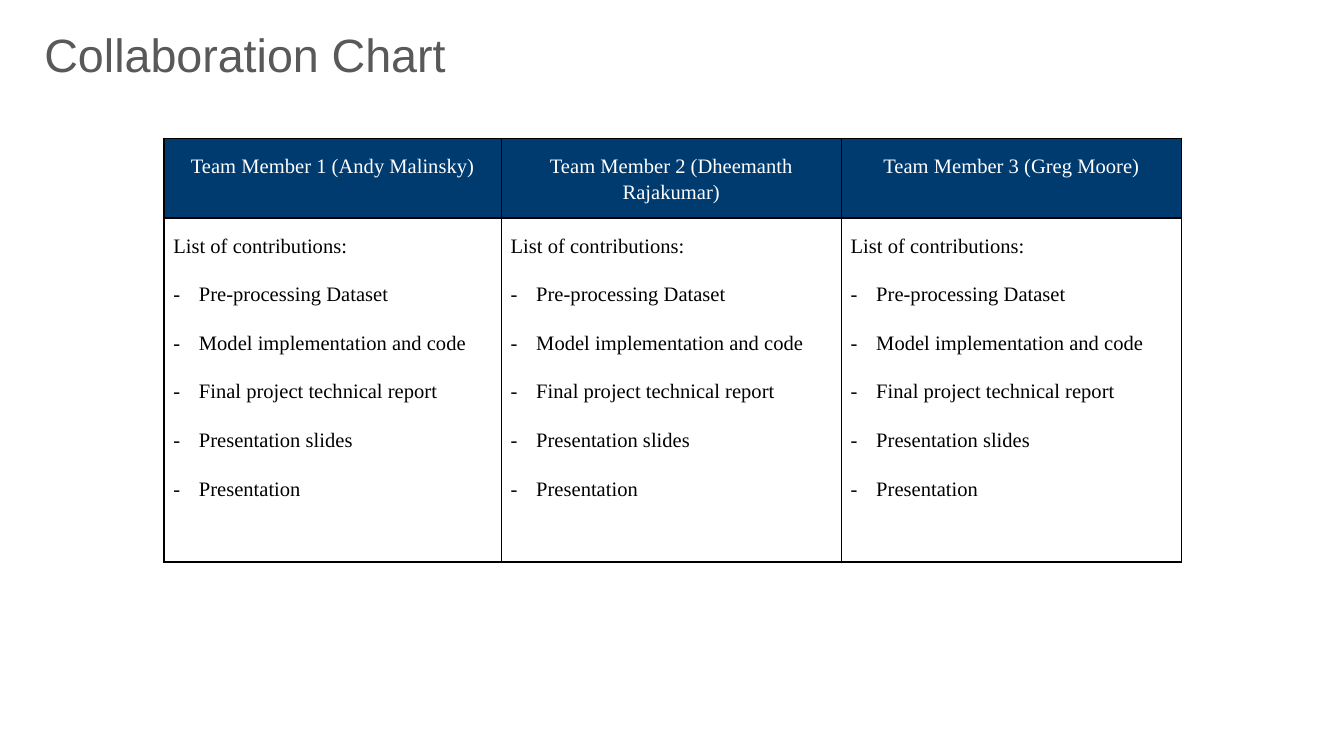
from dataclasses import dataclass

from lxml import etree
from pptx import Presentation
from pptx.dml.color import RGBColor
from pptx.enum.text import MSO_ANCHOR, MSO_AUTO_SIZE, PP_ALIGN
from pptx.oxml.ns import qn
from pptx.util import Inches, Pt

LEFT, CENTER = PP_ALIGN.LEFT, PP_ALIGN.CENTER
TOP = MSO_ANCHOR.TOP
NO_AUTOFIT = MSO_AUTO_SIZE.NONE


@dataclass(frozen=True)
class Theme:
    title_font: str = "Arial"
    table_font: str = "Times New Roman"
    title_size: float = 25
    table_size: float = 11
    title_color: str = "595959"
    header_fill: str = "003B70"
    header_text: str = "FFFFFF"
    body_fill: str = "FFFFFF"
    body_text: str = "000000"
    border: str = "000000"
    border_width: float = 1


theme = Theme()


def write(para, text, *, font=theme.table_font, size=theme.table_size,
          color=theme.body_text, align=LEFT, line=None, before=None,
          after=None, bullet=None):
    """Fill one paragraph and format it."""
    para.alignment = align
    para.line_spacing = line
    para.space_before = None if before is None else Pt(before)
    para.space_after = None if after is None else Pt(after)
    span = para.add_run()
    span.text = text
    span.font.name = font
    span.font.size = Pt(size)
    span.font.color.rgb = RGBColor.from_string(color)
    if bullet:
        props = para._p.get_or_add_pPr()
        props.set("marL", str(Inches(0.19)))
        props.set("indent", str(-Inches(0.19)))
        bullet_color = etree.SubElement(props, qn("a:buClr"))
        etree.SubElement(bullet_color, qn("a:srgbClr"), val=color)
        etree.SubElement(props, qn("a:buFont"), typeface=font)
        etree.SubElement(props, qn("a:buChar"), char=bullet)


def style_cell(cell, fill):
    """Set a cell's margins, borders and fill."""
    cell.margin_left = cell.margin_right = Inches(0.07)
    cell.margin_top = cell.margin_bottom = Inches(0.1)
    cell.vertical_anchor = TOP
    props = cell._tc.get_or_add_tcPr()
    for side in ("a:lnL", "a:lnR", "a:lnT", "a:lnB"):
        edge = etree.SubElement(props, qn(side), w=str(Pt(theme.border_width)))
        edge_fill = etree.SubElement(edge, qn("a:solidFill"))
        etree.SubElement(edge_fill, qn("a:srgbClr"), val=theme.border)
    cell.fill.solid()
    cell.fill.fore_color.rgb = RGBColor.from_string(fill)


members = ["Andy Malinsky", "Dheemanth Rajakumar", "Greg Moore"]
contributions = [
    "Pre-processing Dataset",
    "Model implementation and code",
    "Final project technical report",
    "Presentation slides",
    "Presentation",
]

# Slide, 16:9
deck = Presentation()
deck.slide_width = Inches(10)
deck.slide_height = deck.slide_width * 9 // 16
page = deck.slides.add_slide(deck.slide_layouts[5])

# Title
title = page.shapes.title
title.left, title.top = Inches(0.23), Inches(0.09)
title.width, title.height = Inches(6.64), Inches(1.21)
frame = title.text_frame
frame.margin_left = frame.margin_right = Inches(0.1)
frame.margin_top = frame.margin_bottom = Inches(0.1)
frame.vertical_anchor = TOP
frame.auto_size = NO_AUTOFIT
frame.word_wrap = True
write(frame.paragraphs[0], "Collaboration Chart", font=theme.title_font,
      size=theme.title_size, color=theme.title_color, before=0)

# Table grid: one column per member, a header row and a body row
column_widths = [2.51, 2.53, 2.53]
row_heights = [0.59, 2.56]
table = page.shapes.add_table(
    len(row_heights), len(members), Inches(1.22), Inches(1.03),
    Inches(sum(column_widths)), Inches(sum(row_heights))).table
table.horz_banding = False
for column, width in zip(table.columns, column_widths):
    column.width = Inches(width)
for row, height in zip(table.rows, row_heights):
    row.height = Inches(height)

# Table contents
for index, member in enumerate(members):
    header, body = table.cell(0, index), table.cell(1, index)
    style_cell(header, theme.header_fill)
    write(header.text_frame.paragraphs[0],
          f"Team Member {index + 1} ({member})", color=theme.header_text,
          align=CENTER, line=1.15, before=12, after=12)

    style_cell(body, theme.body_fill)
    write(body.text_frame.paragraphs[0], "List of contributions:",
          line=1.15, before=12)
    for contribution in contributions:
        write(body.text_frame.add_paragraph(), contribution,
              line=1.15, before=12, bullet="-")

deck.save("out.pptx")
